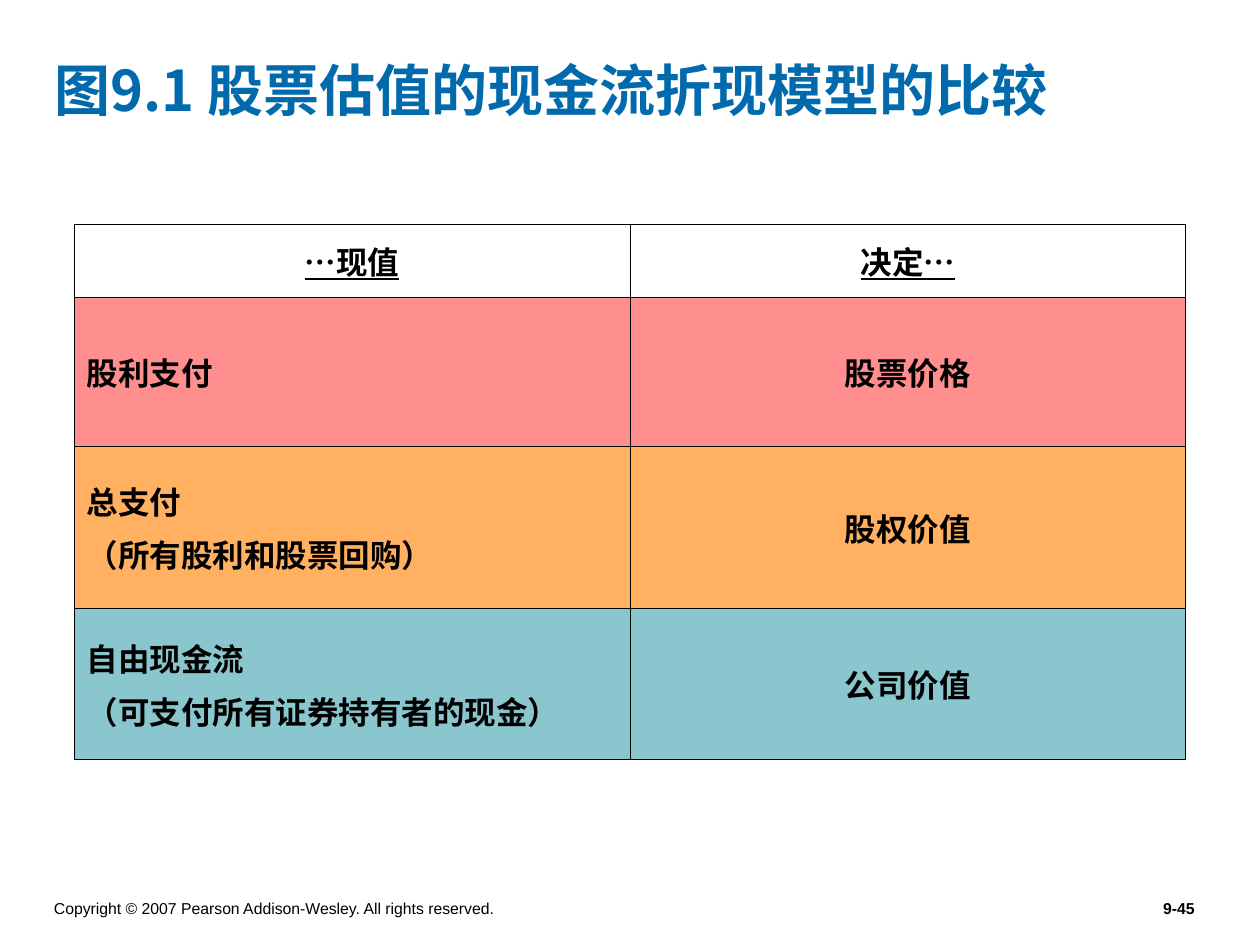
from dataclasses import dataclass
from typing import Optional

from lxml.etree import SubElement
from pptx import Presentation
from pptx.dml.color import RGBColor
from pptx.enum.text import MSO_ANCHOR as Anchor, PP_ALIGN as Align
from pptx.oxml.ns import qn
from pptx.util import Inches, Pt

BLUE = RGBColor(0x00, 0x6A, 0xAC)
BLACK = RGBColor(0x00, 0x00, 0x00)
RED = RGBColor(0xFF, 0x8F, 0x8F)
ORANGE = RGBColor(0xFF, 0xB0, 0x61)
TEAL = RGBColor(0x8A, 0xC6, 0xCD)
CJK = "Noto Sans CJK JP"
MONO = "Noto Sans Mono"


@dataclass(frozen=True)
class ModelRow:
    cash_flow: str
    value: str
    height: float
    fill: Optional[RGBColor] = None


@dataclass(frozen=True)
class Footer:
    text: str
    left: float
    width: float
    align: Align
    anchor: Anchor
    bold: bool


ROWS = [
    ModelRow("…现值", "决定…", 0.58),
    ModelRow("股利支付", "股票价格", 1.18, RED),
    ModelRow("总支付\n（所有股利和股票回购）", "股权价值", 1.29, ORANGE),
    ModelRow("自由现金流\n（可支付所有证券持有者的现金）", "公司价值", 1.2, TEAL),
]
FOOTERS = [
    Footer("Copyright © 2007 Pearson Addison-Wesley. All rights reserved.",
           0.33, 4.33, Align.LEFT, Anchor.BOTTOM, False),
    Footer("9-45", 7.5, 2.08, Align.RIGHT, Anchor.TOP, True),
]


def set_font(p, name: str, size: float, color: RGBColor, bold: bool) -> None:
    font = p.font
    font.name, font.size, font.bold = name, Pt(size), bold
    font.color.rgb = color
    if name != "Arial":
        SubElement(font._rPr, qn("a:ea"), typeface=CJK)


def add_footer(s, footer: Footer) -> None:
    box = s.shapes.add_textbox(Inches(footer.left), Inches(7.08),
                               Inches(footer.width), Inches(0.25))
    tf = box.text_frame
    tf.word_wrap = True
    tf.vertical_anchor = footer.anchor
    tf.text = footer.text
    p = tf.paragraphs[0]
    p.alignment = footer.align
    set_font(p, "Arial", 9, BLACK, footer.bold)


def set_borders(cell) -> None:
    tc_pr = cell._tc.get_or_add_tcPr()
    for index, side in enumerate(("lnL", "lnR", "lnT", "lnB")):
        line = SubElement(tc_pr, qn(f"a:{side}"), w=str(Pt(0.45)))
        tc_pr.insert(index, line)
        fill = SubElement(line, qn("a:solidFill"))
        SubElement(fill, qn("a:srgbClr"), val=str(BLACK))


def fill_cell(cell, text: str, fill: Optional[RGBColor], align: Align) -> None:
    cell.text = text
    cell.vertical_anchor = Anchor.MIDDLE
    if fill is None:
        cell.fill.background()
    else:
        cell.fill.solid()
        cell.fill.fore_color.rgb = fill
    set_borders(cell)
    for index, p in enumerate(cell.text_frame.paragraphs):
        p.alignment = align
        if index:
            p.space_before = Pt(4.5)
        set_font(p, MONO, 18, BLACK, True)
        p.font.underline = fill is None


def add_model_table(s, rows: list[ModelRow]) -> None:
    height = sum(row.height for row in rows)
    table = s.shapes.add_table(len(rows), 2, Inches(0.59), Inches(1.78),
                               Inches(8.82), Inches(height)).table
    table.first_row = table.horz_banding = False
    for index, row in enumerate(rows):
        table.rows[index].height = Inches(row.height)
        left_align = Align.CENTER if row.fill is None else Align.LEFT
        fill_cell(table.cell(index, 0), row.cash_flow, row.fill, left_align)
        fill_cell(table.cell(index, 1), row.value, row.fill, Align.CENTER)


def add_title(s, text: str) -> None:
    title = s.shapes.title
    title.left, title.top = Inches(0.33), Inches(0.08)
    title.width, title.height = Inches(9.25), Inches(1.25)
    tf = title.text_frame
    tf.text = text
    tf.vertical_anchor = Anchor.MIDDLE
    p = tf.paragraphs[0]
    p.alignment = Align.LEFT
    set_font(p, CJK, 32, BLUE, True)


def main() -> None:
    prs = Presentation()
    prs.slide_width, prs.slide_height = Inches(10), Inches(7.5)
    s = prs.slides.add_slide(prs.slide_layouts[5])
    add_title(s, "图9.1 股票估值的现金流折现模型的比较")
    add_model_table(s, ROWS)
    for footer in FOOTERS:
        add_footer(s, footer)
    prs.save("out.pptx")


if __name__ == "__main__":
    main()
